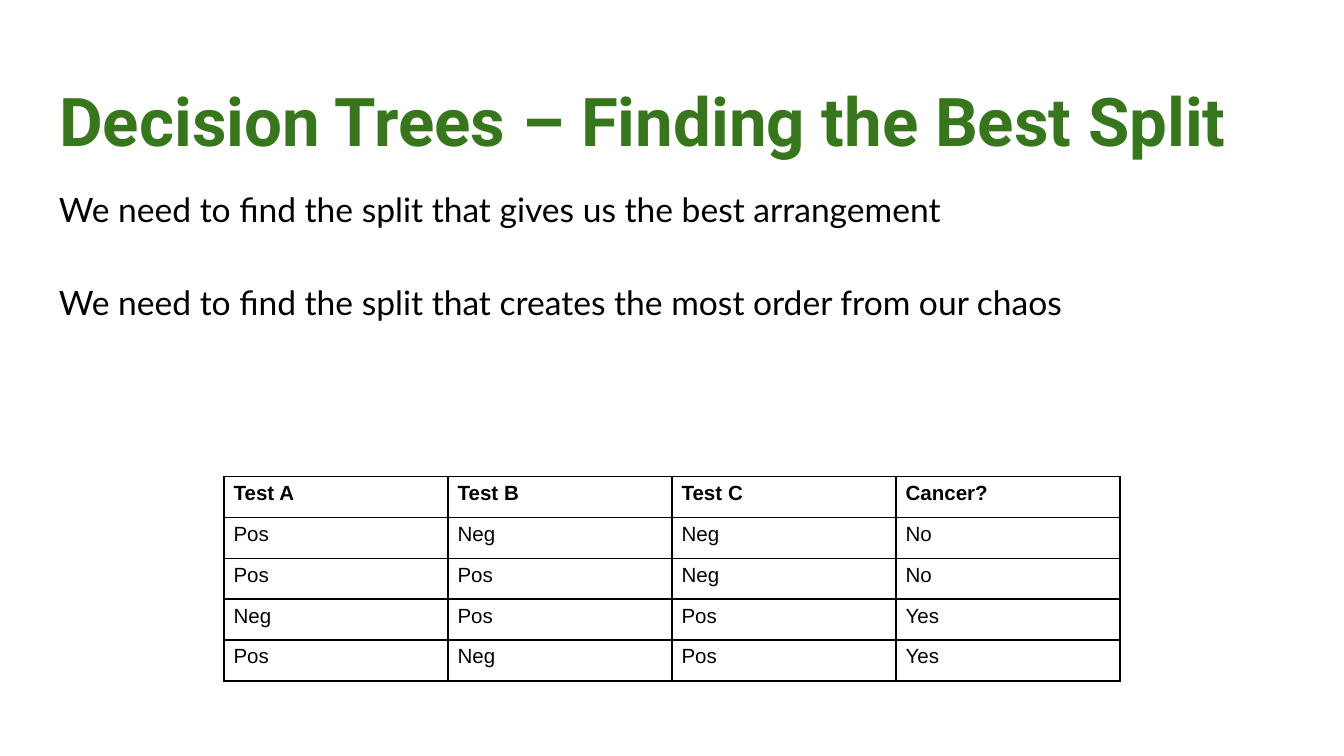
"""Build a slide on finding the best split, with a table of test results."""
from dataclasses import dataclass

from lxml import etree
from pptx import Presentation
from pptx.dml.color import RGBColor
from pptx.enum.text import MSO_ANCHOR, MSO_AUTO_SIZE, PP_ALIGN
from pptx.oxml.ns import qn
from pptx.slide import Slide
from pptx.table import _Cell
from pptx.text.text import TextFrame, _Paragraph
from pptx.util import Inches, Pt

TOP = MSO_ANCHOR.TOP
FIXED = MSO_AUTO_SIZE.NONE
LEFT = PP_ALIGN.LEFT
WIDE = Inches(10)
HIGH = WIDE * 9 // 16


@dataclass(frozen=True)
class Style:
    font: str
    size: int
    color: str
    bold: bool = False


@dataclass(frozen=True)
class Theme:
    title: Style = Style("Roboto", 36, "38761D", True)
    body: Style = Style("Lato", 18, "000000")
    head: Style = Style("Arial", 11, "000000", True)
    cell: Style = Style("Arial", 11, "000000")
    fill: str = "FFFFFF"
    line: str = "000000"


@dataclass(frozen=True)
class Box:
    left: float
    top: float
    width: float
    height: float

    def place(self) -> tuple[int, int, int, int]:
        return (int(WIDE * self.left / 100), int(HIGH * self.top / 100),
                int(WIDE * self.width / 100), int(HIGH * self.height / 100))


THEME = Theme()
TITLE_BOX = Box(3.41, 8.65, 93.18, 11.2)
BODY_BOX = Box(3.41, 22.4, 93.18, 66.5)
TABLE_BOX = Box(16.68, 63.05, 66.67, 27.05)
TITLE = "Decision Trees – Finding the Best Split"
POINTS = (
    "We need to find the split that gives us the best arrangement",
    "We need to find the split that creates the most order from our chaos",
)
ROWS = (
    ("Test A", "Test B", "Test C", "Cancer?"),
    ("Pos", "Neg", "Neg", "No"),
    ("Pos", "Pos", "Neg", "No"),
    ("Neg", "Pos", "Pos", "Yes"),
    ("Pos", "Neg", "Pos", "Yes"),
)


def write(para: _Paragraph, text: str, style: Style) -> None:
    para.text = text
    para.alignment = LEFT
    for run in para.runs:
        run.font.name = style.font
        run.font.size = Pt(style.size)
        run.font.bold = style.bold
        run.font.color.rgb = RGBColor.from_string(style.color)


def set_frame(frame: TextFrame) -> None:
    frame.word_wrap = True
    frame.auto_size = FIXED
    frame.vertical_anchor = TOP
    frame.margin_left = frame.margin_right = Inches(0.1)
    frame.margin_top = frame.margin_bottom = Inches(0.1)


def add_title(slide: Slide) -> None:
    title = slide.shapes.title
    title.left, title.top, title.width, title.height = TITLE_BOX.place()
    set_frame(title.text_frame)
    write(title.text_frame.paragraphs[0], TITLE, THEME.title)


def add_body(slide: Slide) -> None:
    frame = slide.shapes.add_textbox(*BODY_BOX.place()).text_frame
    set_frame(frame)
    for i, text in enumerate(POINTS):
        para = frame.add_paragraph() if i else frame.paragraphs[0]
        write(para, text, THEME.body)
        para.line_spacing = 1.15
        if i:
            para.space_before = Pt(25)


def add_edges(cell: _Cell) -> None:
    props = cell._tc.get_or_add_tcPr()
    for side in ("lnL", "lnR", "lnT", "lnB"):
        edge = etree.SubElement(props, qn(f"a:{side}"), w=str(Pt(1)))
        fill = etree.SubElement(edge, qn("a:solidFill"))
        etree.SubElement(fill, qn("a:srgbClr"), val=THEME.line)


def add_grid(slide: Slide) -> None:
    left, top, width, height = TABLE_BOX.place()
    table = slide.shapes.add_table(
        len(ROWS), len(ROWS[0]), left, top, width, height).table
    table.first_row = table.horz_banding = False
    for r, row in enumerate(ROWS):
        for c, text in enumerate(row):
            cell = table.cell(r, c)
            cell.margin_left = cell.margin_right = Inches(0.07)
            cell.margin_top = cell.margin_bottom = Inches(0.04)
            cell.vertical_anchor = TOP
            add_edges(cell)
            cell.fill.solid()
            cell.fill.fore_color.rgb = RGBColor.from_string(THEME.fill)
            style = THEME.cell if r else THEME.head
            write(cell.text_frame.paragraphs[0], text, style)


def main() -> None:
    deck = Presentation()
    deck.slide_width, deck.slide_height = WIDE, HIGH
    slide = deck.slides.add_slide(deck.slide_layouts.get_by_name("Title Only"))
    add_title(slide)
    add_body(slide)
    add_grid(slide)
    deck.save("out.pptx")


if __name__ == "__main__":
    main()
